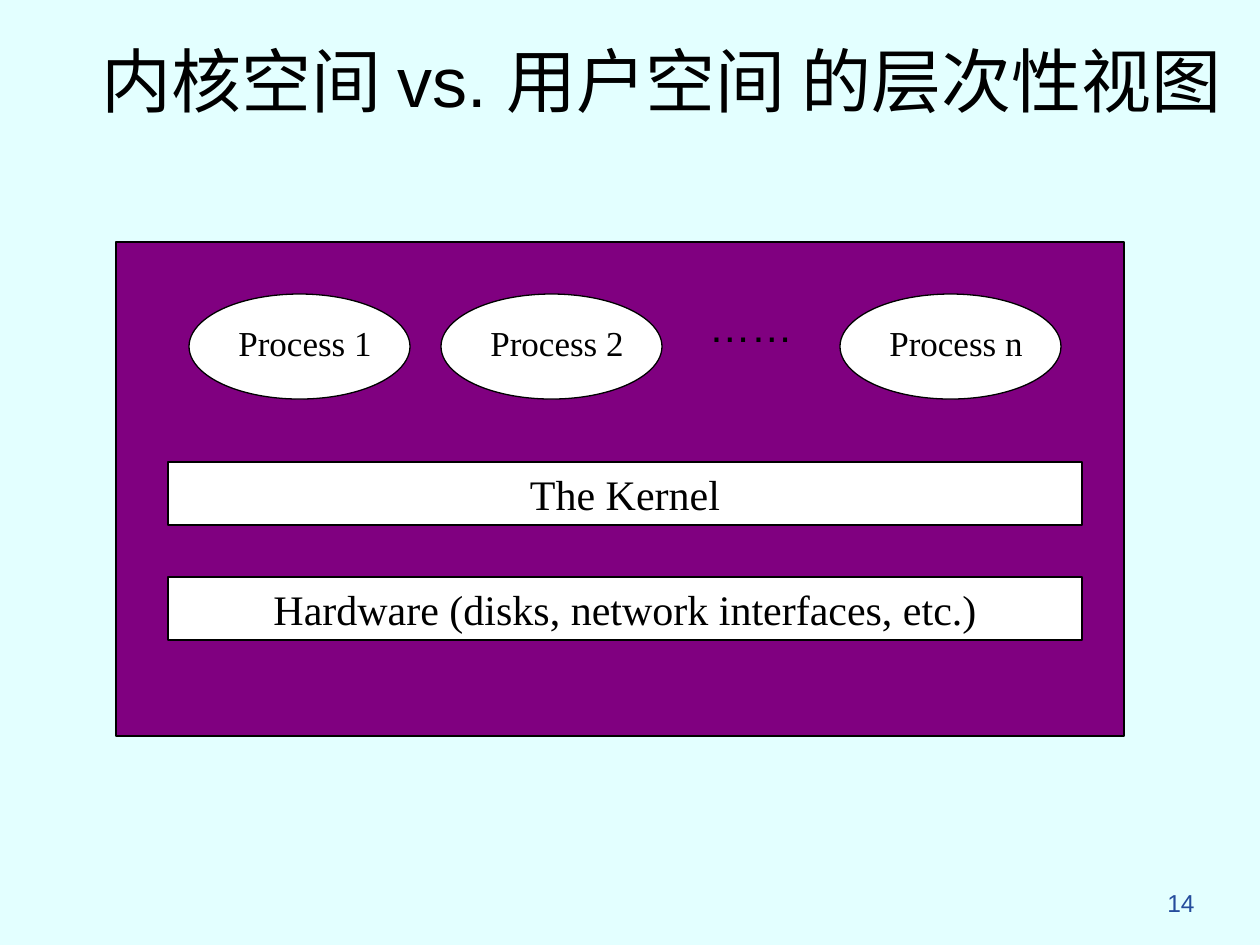
from pptx import Presentation
from pptx.dml.color import RGBColor
from pptx.enum.shapes import MSO_SHAPE
from pptx.enum.text import MSO_ANCHOR, PP_ALIGN
from pptx.util import Pt

RECTANGLE, OVAL = MSO_SHAPE.RECTANGLE, MSO_SHAPE.OVAL
CENTER, RIGHT = PP_ALIGN.CENTER, PP_ALIGN.RIGHT
TOP, MIDDLE = MSO_ANCHOR.TOP, MSO_ANCHOR.MIDDLE
SANS, SERIF = "Arial", "Times New Roman"
BLACK, WHITE, PURPLE, BLUE, PALE = "000000", "FFFFFF", "800080", "254C9C", "E3FFFF"
EMU_PER_PX = 914400 / 126


def px(length):
    """Turn pixels into EMU."""
    return round(length * EMU_PER_PX)


def color(hex_string):
    """Turn a hex string into a colour."""
    return RGBColor.from_string(hex_string)


def write(frame, text, size, font, ink=BLACK, align=CENTER, anchor=TOP):
    """Write one paragraph into a text frame."""
    frame.word_wrap = True
    frame.vertical_anchor = anchor
    paragraph = frame.paragraphs[0]
    paragraph.alignment = align
    run = paragraph.add_run()
    run.text = text
    run.font.size = Pt(size)
    run.font.name = font
    run.font.color.rgb = color(ink)


def add_label(slide, box, text, size, font, **style):
    """Place a text box."""
    label = slide.shapes.add_textbox(*map(px, box))
    write(label.text_frame, text, size, font, **style)


def add_block(slide, kind, box, fill):
    """Place a filled shape with a thin black outline."""
    block = slide.shapes.add_shape(kind, *map(px, box))
    block.shadow.inherit = False
    block.fill.solid()
    block.fill.fore_color.rgb = color(fill)
    block.line.color.rgb = color(BLACK)
    block.line.width = Pt(0.75)
    return block


def add_process(slide, box, name):
    """Place a process oval and its name."""
    left, top, width, _ = box
    add_block(slide, OVAL, box, WHITE)
    add_label(slide, (left + 32, top + 21, width - 53, 55), name, 20, SERIF)


def add_layers(slide, box):
    """Place the panel with processes above the kernel and the hardware."""
    left, top, width, _ = box
    add_block(slide, RECTANGLE, box, PURPLE)
    for offset, layer in ((220, "The Kernel"),
                          (335, "Hardware (disks, network interfaces, etc.)")):
        bar = add_block(slide, RECTANGLE, (left + 52, top + offset, width - 94, 63), WHITE)
        write(bar.text_frame, layer, 24, SERIF)
    process_top = top + 52
    for offset, name in ((73, "Process 1"), (325, "Process 2"), (724, "Process n")):
        add_process(slide, (left + offset, process_top, 221, 105), name)
    add_label(slide, (left + 577, process_top, 116, 63), "……", 24, SANS)


def main():
    """Build and save the slide."""
    deck = Presentation()
    deck.slide_width, deck.slide_height = px(1260), px(945)
    slide = deck.slides.add_slide(deck.slide_layouts[6])
    slide.background.fill.solid()
    slide.background.fill.fore_color.rgb = color(PALE)
    add_label(slide, (63, 0, 1197, 158), "内核空间 vs. 用户空间 的层次性视图", 40, SANS,
              anchor=MIDDLE)
    add_layers(slide, (116, 242, 1008, 494))
    add_label(slide, (945, 882, 262, 63), "14", 14, SANS, ink=BLUE, align=RIGHT)
    deck.save("out.pptx")


if __name__ == "__main__":
    main()
